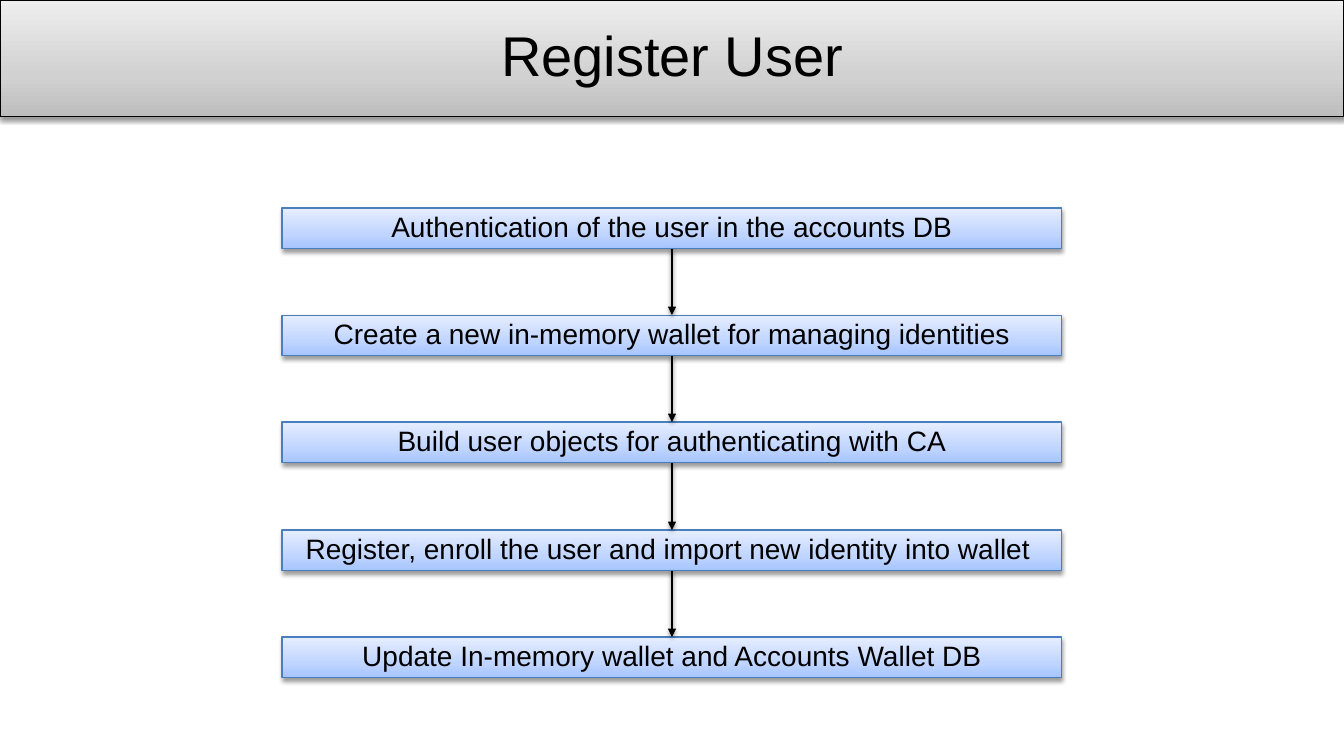
from copy import deepcopy

from lxml import etree
from pptx import Presentation
from pptx import util as u
from pptx.dml.color import RGBColor
from pptx.enum import shapes, text
from pptx.oxml import ns

PX = 914400 / 100.8
SLIDE_WIDTH, SLIDE_HEIGHT = 1344, 756
BLACK = "000000"
GREY_STOPS = [(0, "BDBDBD"), (0.35, "D1D1D1"), (1, "EEEEEE")]
BLUE_STOPS = [(0, "A4C4FF"), (0.35, "BFD4FF"), (1, "E6EEFF")]
STEPS = [
    "Authentication of the user in the accounts DB",
    "Create a new in-memory wallet for managing identities",
    "Build user objects for authenticating with CA",
    "Register, enroll the user and import new identity into wallet ",
    "Update In-memory wallet and Accounts Wallet DB",
]


def px(length):
    return u.Emu(round(length * PX))


def colour(hex_code):
    return RGBColor.from_string(hex_code)


def add_shadow(properties):
    """Append a soft downward shadow to shape properties that already have a line."""
    effects = etree.SubElement(properties, ns.qn("a:effectLst"))
    shadow = etree.SubElement(effects, ns.qn("a:outerShdw"), blurRad="40000",
                              dist="20000", dir="5400000", rotWithShape="0")
    tint = etree.SubElement(shadow, ns.qn("a:srgbClr"), val=BLACK)
    etree.SubElement(tint, ns.qn("a:alpha"), val="38000")


def fill_gradient(box, stops):
    """Fill the box from bottom to top through three stops."""
    box.fill.gradient()
    box.fill.gradient_angle = 90
    stop_list = box.element.spPr.find(".//" + ns.qn("a:gsLst"))
    stop_list.append(deepcopy(stop_list[0]))
    for stop, (position, hex_code) in zip(box.fill.gradient_stops, stops):
        stop.position = position
        stop.color.rgb = colour(hex_code)


def format_box(box, words, size, stops, outline):
    fill_gradient(box, stops)
    box.line.color.rgb = colour(outline)
    box.line.width = u.Pt(0.75)
    add_shadow(box.element.spPr)

    frame = box.text_frame
    frame.word_wrap = True
    frame.auto_size = text.MSO_AUTO_SIZE.NONE
    frame.vertical_anchor = text.MSO_ANCHOR.MIDDLE
    frame.margin_left = frame.margin_right = 0
    frame.margin_top = frame.margin_bottom = 0
    para = frame.paragraphs[0]
    para.alignment = text.PP_ALIGN.CENTER
    para.line_spacing = 0.9
    span = para.add_run()
    span.text = words
    span.font.name = "Arial"
    span.font.size = u.Pt(size)
    span.font.color.rgb = colour(BLACK)


def place_title(page, left, top, width, height):
    title = page.shapes.title
    title.left, title.top = px(left), px(top)
    title.width, title.height = px(width), px(height)
    format_box(title, "Register User", 40, GREY_STOPS, BLACK)


def add_arrow(page, upper, lower):
    """Join the bottom of the upper box to the top of the lower one."""
    arrow = page.shapes.add_connector(shapes.MSO_CONNECTOR.STRAIGHT, 0, 0, 0, 0)
    arrow.begin_connect(upper, 2)
    arrow.end_connect(lower, 0)
    arrow.line.color.rgb = colour(BLACK)
    arrow.line.width = u.Pt(2)
    properties = arrow.element.spPr
    etree.SubElement(properties.find(ns.qn("a:ln")), ns.qn("a:tailEnd"), type="triangle")
    add_shadow(properties)


def add_flow(page, left, top, width, height):
    """Spread the steps evenly over the given box and link them."""
    step_height = 41
    pitch = (height - step_height) / (len(STEPS) - 1)
    boxes = []
    for index, words in enumerate(STEPS):
        box = page.shapes.add_shape(
            shapes.MSO_SHAPE.RECTANGLE, px(left), px(top + round(index * pitch)),
            px(width), px(step_height))
        format_box(box, words, 20, BLUE_STOPS, "4B7EBC")
        boxes.append(box)
    for upper, lower in zip(boxes, boxes[1:]):
        add_arrow(page, upper, lower)


def main():
    deck = Presentation()
    deck.slide_width, deck.slide_height = px(SLIDE_WIDTH), px(SLIDE_HEIGHT)
    page = deck.slides.add_slide(deck.slide_layouts[5])
    place_title(page, 0, 0, SLIDE_WIDTH, 117)
    add_flow(page, 282, 208, 780, 470)
    deck.save("out.pptx")


if __name__ == "__main__":
    main()
